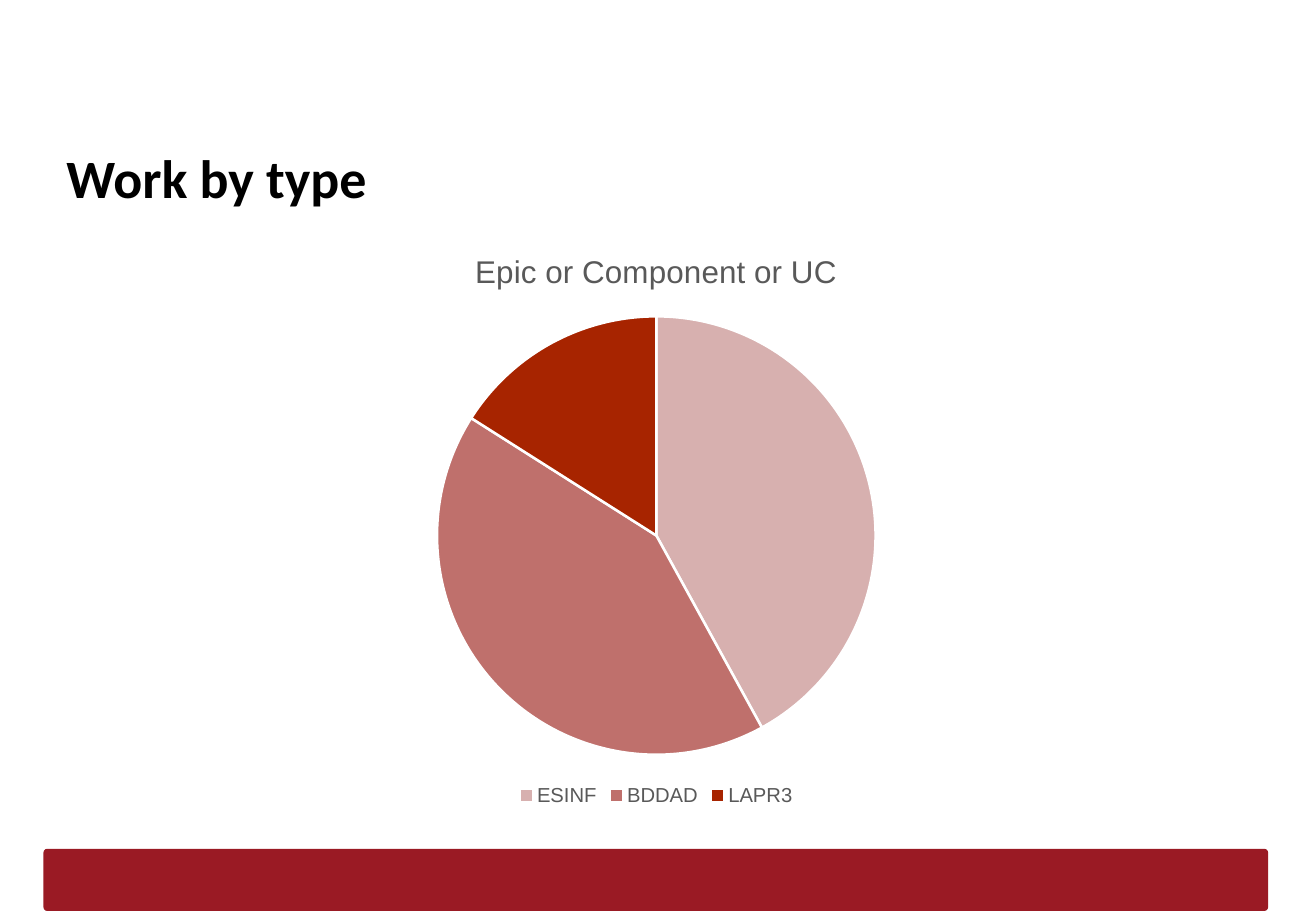
import pptx
import pptx.util
import pptx.dml.color
import pptx.chart.data
import pptx.enum.chart
import pptx.enum.shapes
import pptx.enum.text

Cm = pptx.util.Cm
Pt = pptx.util.Pt
RGBColor = pptx.dml.color.RGBColor

BLACK = RGBColor(0x00, 0x00, 0x00)
WHITE = RGBColor(0xFF, 0xFF, 0xFF)
GREY = RGBColor(0x59, 0x59, 0x59)
CRIMSON = RGBColor(0x9A, 0x1A, 0x24)
ROSE = RGBColor(0xD7, 0xB0, 0xAF)
CORAL = RGBColor(0xBF, 0x70, 0x6C)
RUST = RGBColor(0xA7, 0x24, 0x00)


def write(tf, text, size, color, font, bold=False):
    p = tf.paragraphs[0]
    p.alignment = pptx.enum.text.PP_ALIGN.LEFT
    r = p.add_run()
    r.text = text
    r.font.size = Pt(size)
    r.font.name = font
    r.font.bold = bold
    r.font.color.rgb = color


prs = pptx.Presentation()
prs.slide_width = Cm(27.51)
prs.slide_height = Cm(19.05)
s = prs.slides.add_slide(prs.slide_layouts[5])

bar = s.shapes.add_shape(
    pptx.enum.shapes.MSO_SHAPE.ROUNDED_RECTANGLE, Cm(0.91), Cm(17.75), Cm(25.6), Cm(1.3))
bar.adjustments[0] = 0.06
bar.shadow.inherit = False
bar.fill.solid()
bar.fill.fore_color.rgb = CRIMSON
bar.line.fill.background()

title = s.shapes.title
title.left, title.top, title.width, title.height = Cm(1.14), Cm(2.77), Cm(25.12), Cm(1.6)
tf = title.text_frame
tf.word_wrap = True
tf.auto_size = pptx.enum.text.MSO_AUTO_SIZE.NONE
tf.vertical_anchor = pptx.enum.text.MSO_ANCHOR.TOP
tf.margin_left = tf.margin_right = tf.margin_top = tf.margin_bottom = Cm(0.25)
write(tf, "Work by type", size=32, color=BLACK, font="Calibri", bold=True)

data = pptx.chart.data.CategoryChartData()
data.categories = ["ESINF", "BDDAD", "LAPR3"]
data.add_series("Series 1", [42, 42, 16])
chart = s.shapes.add_chart(
    pptx.enum.chart.XL_CHART_TYPE.PIE, Cm(4.55), Cm(4.75), Cm(18.34), Cm(12.22), data).chart
chart.font.name = "Arial"
chart.font.size = Pt(10)
chart.font.color.rgb = BLACK

chart.has_title = True
chart.chart_title.include_in_layout = False
write(chart.chart_title.text_frame, "Epic or Component or UC", size=18.6, color=GREY, font="Arial")

chart.has_legend = True
legend = chart.legend
legend.position = pptx.enum.chart.XL_LEGEND_POSITION.BOTTOM
legend.include_in_layout = False
legend.font.name = "Arial"
legend.font.size = Pt(12)
legend.font.color.rgb = GREY

plot = chart.plots[0]
plot.vary_by_categories = True
for i, color in enumerate([ROSE, CORAL, RUST]):
    fmt = plot.series[0].points[i].format
    fmt.fill.solid()
    fmt.fill.fore_color.rgb = color
    fmt.line.color.rgb = WHITE
    fmt.line.width = Pt(1.5)

prs.save("out.pptx")
